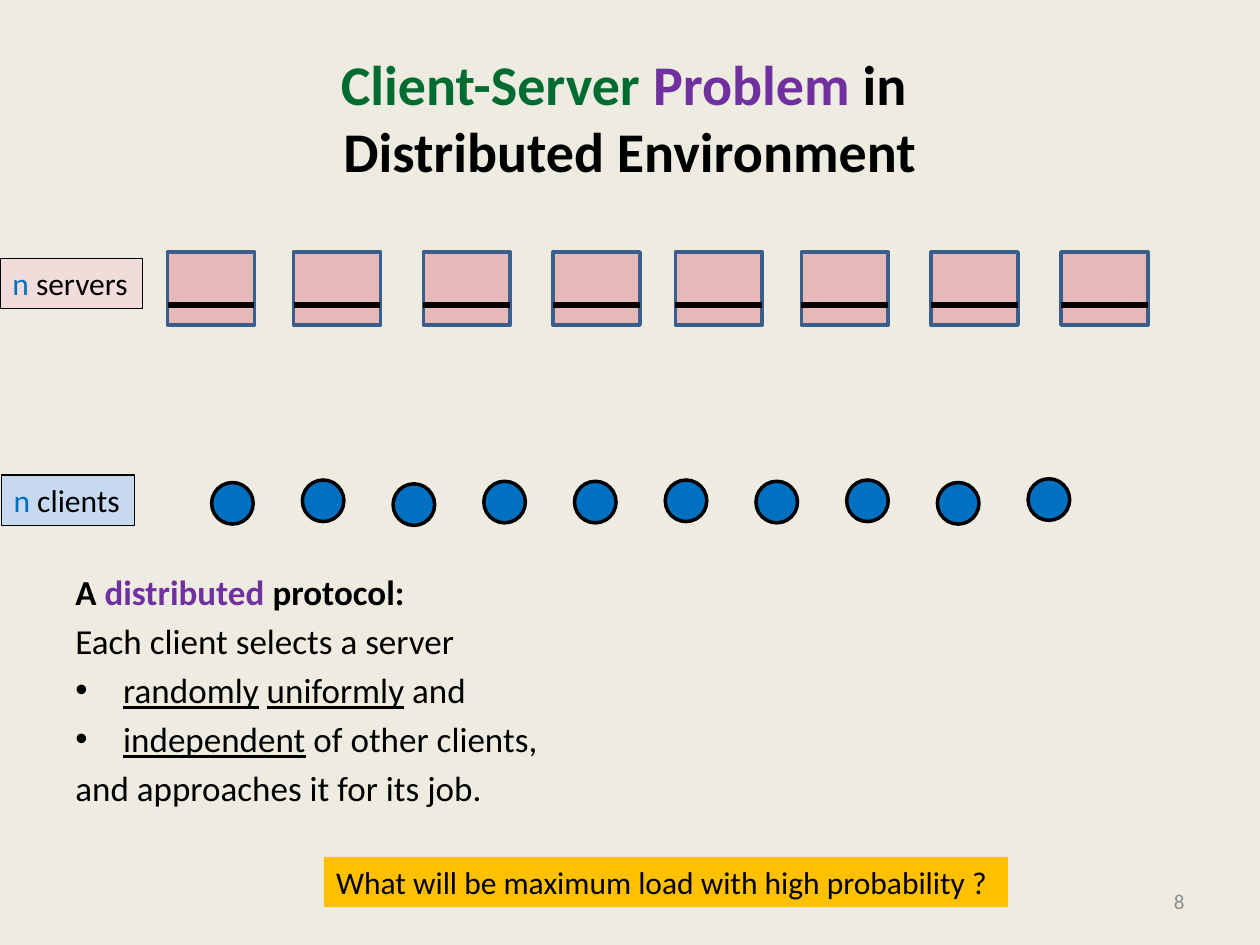
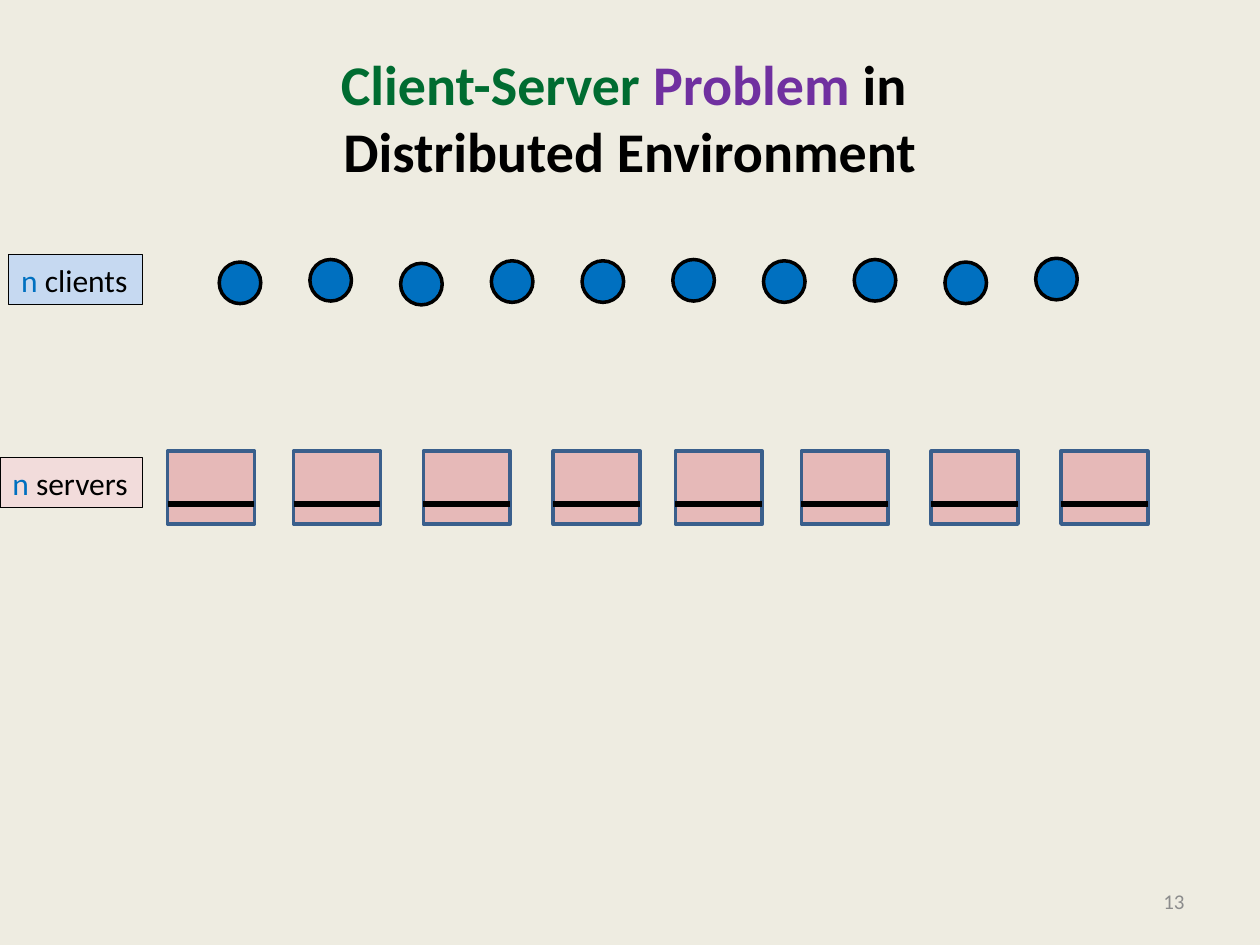
from lxml.etree import SubElement
from pptx import Presentation
from pptx.dml.color import RGBColor
from pptx.enum.shapes import MSO_CONNECTOR, MSO_SHAPE
from pptx.enum.text import MSO_ANCHOR, PP_ALIGN
from pptx.oxml.ns import qn
from pptx.util import Inches, Pt

FONT = "Calibri"
BACKGROUND = "EEECE1"
BLACK = "000000"
GREEN = "006C31"
PURPLE = "7030A0"
BLUE = "0070C0"
GRAY = "8C8C8C"
AMBER = "FFC000"
SERVER_FILL = "E6B9B8"
SERVER_LINE = "3A5F8C"
SERVER_LABEL = "F2DCDB"
CLIENT_LABEL = "C6D9F1"

SERVER_LEFTS = (1.33, 2.33, 3.36, 4.39, 5.36, 6.36, 7.39, 8.42)
SERVER_WIDTH, SERVER_HEIGHT, LOAD_LINE_OFFSET = 0.69, 0.58, 0.42
CLIENT_DROPS = (0.03, 0.01, 0.04, 0.02, 0.02, 0.01, 0.02, 0.01, 0.03, 0)
CLIENT_SIZE, CLIENT_PITCH = 0.33, 0.72


def color(hex_string):
    return RGBColor.from_string(hex_string)


def add_run(paragraph, text, size, hex_color=BLACK, bold=False, underline=False):
    run = paragraph.add_run()
    run.text = text
    font = run.font
    font.name = FONT
    font.size = Pt(size)
    font.bold = bold
    font.underline = underline
    font.color.rgb = color(hex_color)


def add_text_box(slide, left, top, width, height, anchor=MSO_ANCHOR.TOP):
    box = slide.shapes.add_textbox(Inches(left), Inches(top), Inches(width), Inches(height))
    frame = box.text_frame
    frame.word_wrap = True
    frame.vertical_anchor = anchor
    return frame


def add_filled_shape(shapes, kind, left, top, width, height, fill, line=None, line_width=2):
    shape = shapes.add_shape(kind, Inches(left), Inches(top), Inches(width), Inches(height))
    shape.shadow.inherit = False
    shape.fill.solid()
    shape.fill.fore_color.rgb = color(fill)
    if line:
        shape.line.color.rgb = color(line)
        shape.line.width = Pt(line_width)
    else:
        shape.line.fill.background()
    return shape


def add_label(slide, left, top, width, fill, runs, line=None):
    label = add_filled_shape(slide.shapes, MSO_SHAPE.RECTANGLE, left, top, width, 0.4,
                             fill, line, 0.75)
    frame = label.text_frame
    frame.word_wrap = True
    frame.margin_right = 0
    frame.vertical_anchor = MSO_ANCHOR.TOP
    paragraph = frame.paragraphs[0]
    paragraph.alignment = PP_ALIGN.LEFT
    for text, hex_color in runs:
        add_run(paragraph, text, 18, hex_color)


def add_title(slide):
    frame = add_text_box(slide, 0.5, 0.3, 9, 1.25, MSO_ANCHOR.MIDDLE)
    paragraph = frame.paragraphs[0]
    paragraph.alignment = PP_ALIGN.CENTER
    add_run(paragraph, "Client-Server ", 32, GREEN, bold=True)
    add_run(paragraph, "Problem", 32, PURPLE, bold=True)
    add_run(paragraph, " in ", 32, bold=True)
    paragraph.add_line_break()
    add_run(paragraph, "Distributed Environment", 32, bold=True)


def add_slide_number(slide, number):
    frame = add_text_box(slide, 7.17, 6.95, 2.33, 0.4, MSO_ANCHOR.MIDDLE)
    paragraph = frame.paragraphs[0]
    paragraph.alignment = PP_ALIGN.RIGHT
    add_run(paragraph, str(number), 12, GRAY)


def add_servers(slide, top):
    group = slide.shapes.add_group_shape()
    for left in SERVER_LEFTS:
        add_filled_shape(group.shapes, MSO_SHAPE.RECTANGLE, left, top,
                         SERVER_WIDTH, SERVER_HEIGHT, SERVER_FILL, SERVER_LINE)
        line_top = Inches(top + LOAD_LINE_OFFSET)
        load_line = group.shapes.add_connector(
            MSO_CONNECTOR.STRAIGHT, Inches(left), line_top,
            Inches(left + SERVER_WIDTH), line_top)
        load_line.line.color.rgb = color(BLACK)
        load_line.line.width = Pt(3)
        SubElement(load_line._element.spPr, qn("a:effectLst"))
    add_label(slide, 0, top + 0.05, 1.13, SERVER_LABEL,
              [("n", BLUE), (" servers", BLACK)], BLACK)


def add_clients(slide, left, top):
    group = slide.shapes.add_group_shape()
    for index, drop in enumerate(CLIENT_DROPS):
        add_filled_shape(group.shapes, MSO_SHAPE.OVAL, left + 1.67 + index * CLIENT_PITCH,
                         top + drop, CLIENT_SIZE, CLIENT_SIZE, BLUE, BLACK)
    add_label(slide, left, top - 0.03, 1.06, CLIENT_LABEL,
              [("n", BLUE), (" clients", BLACK)], BLACK)


def add_bullet(paragraph):
    properties = paragraph._p.get_or_add_pPr()
    properties.set("marL", str(Inches(0.38)))
    properties.set("indent", str(-Inches(0.38)))
    SubElement(properties, qn("a:buFont"), typeface="Arial")
    SubElement(properties, qn("a:buChar"), char="•")


def add_protocol(slide, left, top, width, height):
    bold, underline = {"bold": True}, {"underline": True}
    lines = [
        (False, [("A ", bold), ("distributed", {"bold": True, "hex_color": PURPLE}),
                 (" protocol:", bold)]),
        (False, [("Each client selects a server", {})]),
        (True, [("randomly", underline), (" ", {}), ("uniformly", underline), (" and", {})]),
        (True, [("independent", underline), (" of other clients,", {})]),
        (False, [("and approaches it for its job.", {})]),
    ]
    frame = add_text_box(slide, left, top, width, height)
    for index, (bulleted, runs) in enumerate(lines):
        paragraph = frame.add_paragraph() if index else frame.paragraphs[0]
        if bulleted:
            add_bullet(paragraph)
        if index:
            paragraph.space_before = Pt(4)
        for text, style in runs:
            add_run(paragraph, text, 20, **style)


def add_base_slide(presentation, number):
    slide = presentation.slides.add_slide(presentation.slide_layouts[6])
    background = slide.background.fill
    background.solid()
    background.fore_color.rgb = color(BACKGROUND)
    add_title(slide)
    add_slide_number(slide, number)
    return slide


def build_protocol_slide(presentation):
    slide = add_base_slide(presentation, 8)
    add_protocol(slide, 0.5, 4.48, 9, 2.22)
    add_clients(slide, 0.01, 3.8)
    add_servers(slide, 2)
    add_label(slide, 2.57, 6.8, 5.43, AMBER,
              [("What will be maximum load with high probability ?", BLACK)])


def build_clients_first_slide(presentation):
    slide = add_base_slide(presentation, 13)
    add_clients(slide, 0.07, 2.05)
    add_servers(slide, 3.58)


def main():
    presentation = Presentation()
    presentation.slide_width = Inches(10)
    presentation.slide_height = Inches(7.5)
    build_protocol_slide(presentation)
    build_clients_first_slide(presentation)
    presentation.save("out.pptx")


if __name__ == "__main__":
    main()
